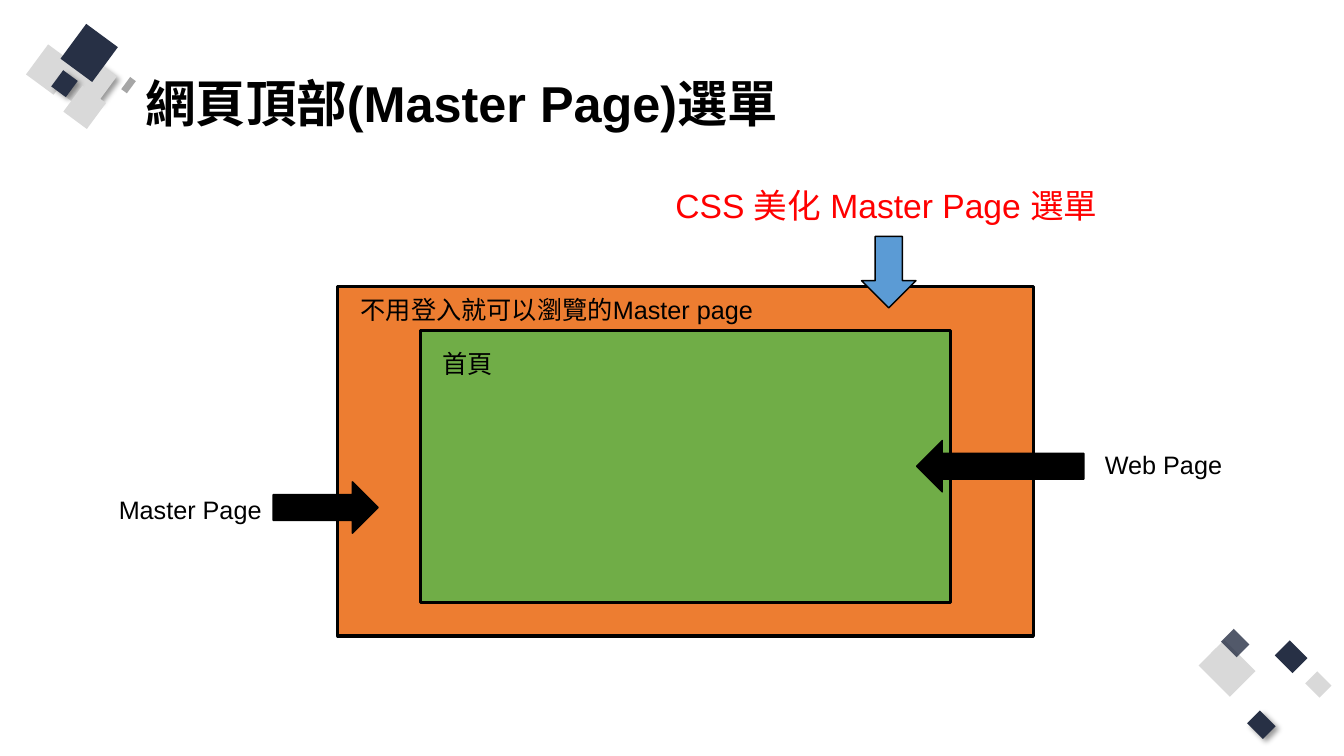
from dataclasses import dataclass

import pptx
import pptx.dml.color
import pptx.enum.shapes
import pptx.enum.text
import pptx.oxml
import pptx.oxml.ns
import pptx.util
from pptx.util import Inches

SHAPE = pptx.enum.shapes.MSO_SHAPE
NS = pptx.oxml.ns.nsdecls("a")


@dataclass(frozen=True)
class Theme:
    font: str = "Arial"
    black: str = "000000"
    red: str = "FF0000"
    orange: str = "ED7D31"
    green: str = "70AD47"
    blue: str = "5B9BD5"
    navy: str = "273045"
    light: str = "D9D9D9"
    grey: str = "A6A6A6"
    title_size: int = 36
    callout_size: int = 24
    label_size: int = 18
    frame_line: float = 2.25
    arrow_line: float = 1


class SlideBuilder:
    def __init__(self, prs, theme):
        self.theme = theme
        self.s = prs.slides.add_slide(prs.slide_layouts[5])

    def run(self, p, text, size, color, bold=False):
        r = p.add_run()
        r.text = text
        r.font.name = self.theme.font
        r.font.size = pptx.util.Pt(size)
        r.font.bold = bold
        r.font.color.rgb = pptx.dml.color.RGBColor.from_string(color)
        r.font._element.find(pptx.oxml.ns.qn("a:latin")).addnext(
            pptx.oxml.parse_xml(f'<a:ea {NS} typeface="{self.theme.font}"/>'))

    def title(self, text, x, y, w, h):
        sp = self.s.shapes.title
        sp.left, sp.top, sp.width, sp.height = map(Inches, (x, y, w, h))
        tf = sp.text_frame
        tf.word_wrap = True
        tf.auto_size = pptx.enum.text.MSO_AUTO_SIZE.NONE
        tf.vertical_anchor = pptx.enum.text.MSO_ANCHOR.MIDDLE
        p = tf.paragraphs[0]
        p.alignment = pptx.enum.text.PP_ALIGN.LEFT
        p.line_spacing = 0.9
        self.run(p, text, self.theme.title_size, self.theme.black, bold=True)

    def label(self, text, x, y, w, h, size=None, color=None, wrap=False):
        tf = self.s.shapes.add_textbox(*map(Inches, (x, y, w, h))).text_frame
        tf.word_wrap = wrap
        self.run(tf.paragraphs[0], text, size or self.theme.label_size,
                 color or self.theme.black)

    def shape(self, kind, x, y, w, h, fill, line=None, rotation=0):
        sp = self.s.shapes.add_shape(kind, *map(Inches, (x, y, w, h)))
        sp.rotation = rotation
        sp.shadow.inherit = False
        sp.fill.solid()
        sp.fill.fore_color.rgb = pptx.dml.color.RGBColor.from_string(fill)
        if line:
            sp.line.color.rgb = pptx.dml.color.RGBColor.from_string(self.theme.black)
            sp.line.width = pptx.util.Pt(line)
        else:
            sp.line.fill.background()
        return sp

    def frame(self, x, y, w, h, fill):
        self.shape(SHAPE.RECTANGLE, x, y, w, h, fill, self.theme.frame_line)

    def arrow(self, x, y, w, h, fill, rotation=0):
        self.shape(SHAPE.RIGHT_ARROW, x, y, w, h, fill, self.theme.arrow_line, rotation)

    def tile(self, x, y, w, h, fill, rotation, shadow=False, opacity=100):
        """Add a tilted decorative square."""
        sp = self.shape(SHAPE.RECTANGLE, x, y, w, h, fill, rotation=rotation)
        if shadow:
            effects = sp._element.spPr.find(pptx.oxml.ns.qn("a:effectLst"))
            effects.append(pptx.oxml.parse_xml(
                f'<a:outerShdw {NS} blurRad="{pptx.util.Pt(4)}" dist="{pptx.util.Pt(3)}" '
                'dir="2700000" algn="tl" rotWithShape="0"><a:srgbClr val="000000">'
                '<a:alpha val="40000"/></a:srgbClr></a:outerShdw>'))
        if opacity < 100:
            color = sp._element.spPr.find(".//" + pptx.oxml.ns.qn("a:srgbClr"))
            color.append(pptx.oxml.parse_xml(f'<a:alpha {NS} val="{opacity * 1000}"/>'))


def main():
    prs = pptx.Presentation()
    prs.slide_width, prs.slide_height = Inches(13.33), Inches(7.5)
    t = Theme()
    b = SlideBuilder(prs, t)

    top_left_tiles = [
        (1.2, 0.81, 0.15, 0.07, t.grey, False),
        (0.32, 0.52, 0.37, 0.34, t.light, False),
        (0.8, 0.66, 0.31, 0.28, t.light, True),
        (0.69, 0.61, 0.19, 0.17, t.light, False),
        (0.56, 0.66, 0.33, 0.3, t.light, False),
        (0.54, 0.74, 0.2, 0.18, t.navy, True),
        (0.67, 0.33, 0.43, 0.39, t.navy, False),
        (0.68, 0.92, 0.32, 0.29, t.light, False),
    ]
    for x, y, w, h, fill, shadow in top_left_tiles:
        b.tile(x, y, w, h, fill, 306.4, shadow)

    bottom_right_tiles = [
        (12.7, 6.39, 0.21, 0.25, t.navy, False, 100),
        (12.99, 6.69, 0.17, 0.2, t.light, False, 100),
        (11.99, 6.41, 0.36, 0.44, t.light, False, 100),
        (12.42, 7.08, 0.18, 0.22, t.navy, True, 100),
        (12.16, 6.27, 0.18, 0.22, t.navy, False, 80),
    ]
    for x, y, w, h, fill, shadow, opacity in bottom_right_tiles:
        b.tile(x, y, w, h, fill, 135, shadow, opacity)

    b.title("網頁頂部(Master Page)選單", 1.34, 0.4, 10.55, 1.3)

    b.frame(3.35, 2.84, 6.9, 3.47, t.orange)
    b.frame(4.17, 3.28, 5.26, 2.7, t.green)

    b.arrow(2.71, 4.78, 1.04, 0.51, t.black)
    b.label("Master Page", 1.08, 4.86, 1.63, 0.4)
    b.arrow(9.09, 4.37, 1.66, 0.51, t.black, rotation=180)
    b.label("Web Page", 10.86, 4.41, 1.38, 0.4)

    b.label("首頁", 4.29, 3.41, 0.71, 0.4)
    b.label("不用登入就可以瀏覽的Master page", 3.48, 2.87, 4.13, 0.4, wrap=True)
    b.arrow(8.46, 2.43, 0.71, 0.54, t.blue, rotation=90)
    b.label("CSS 美化 Master Page 選單", 6.6, 1.79, 4.43, 0.5,
            t.callout_size, t.red, wrap=True)

    prs.save("out.pptx")


if __name__ == "__main__":
    main()
